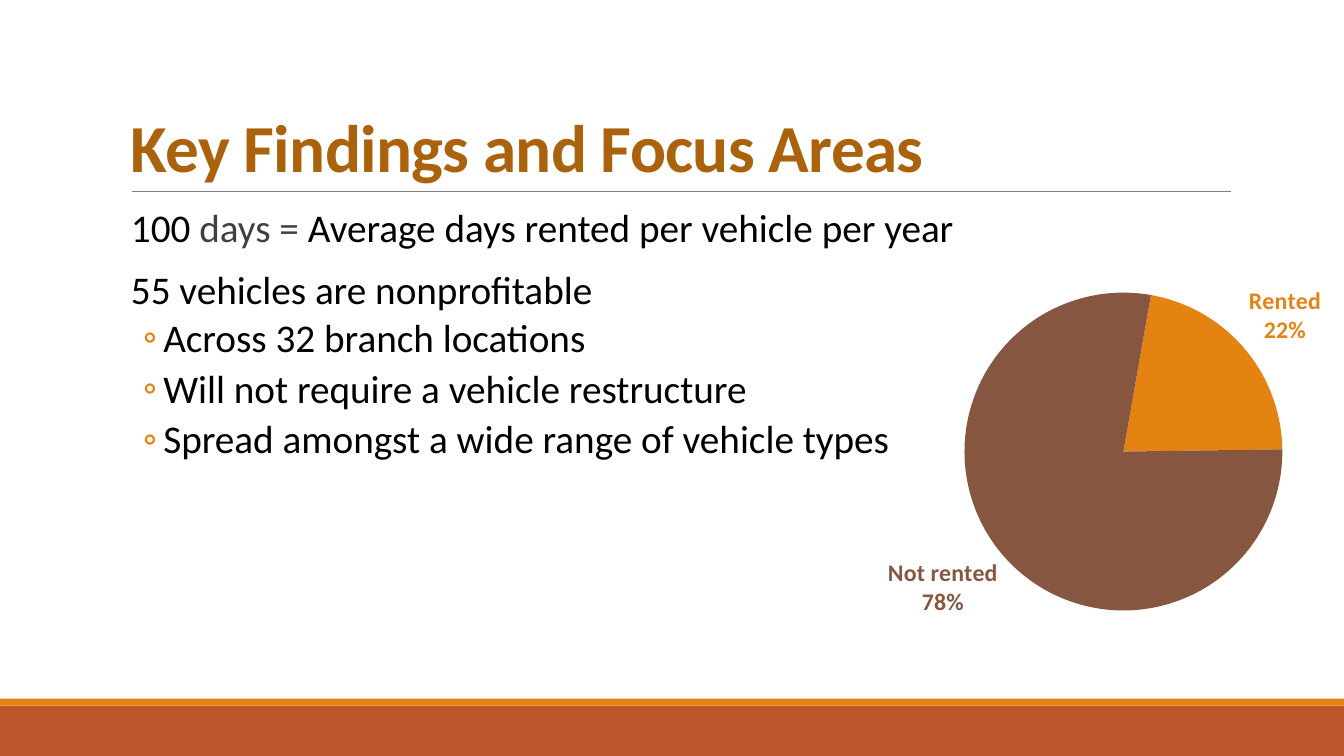
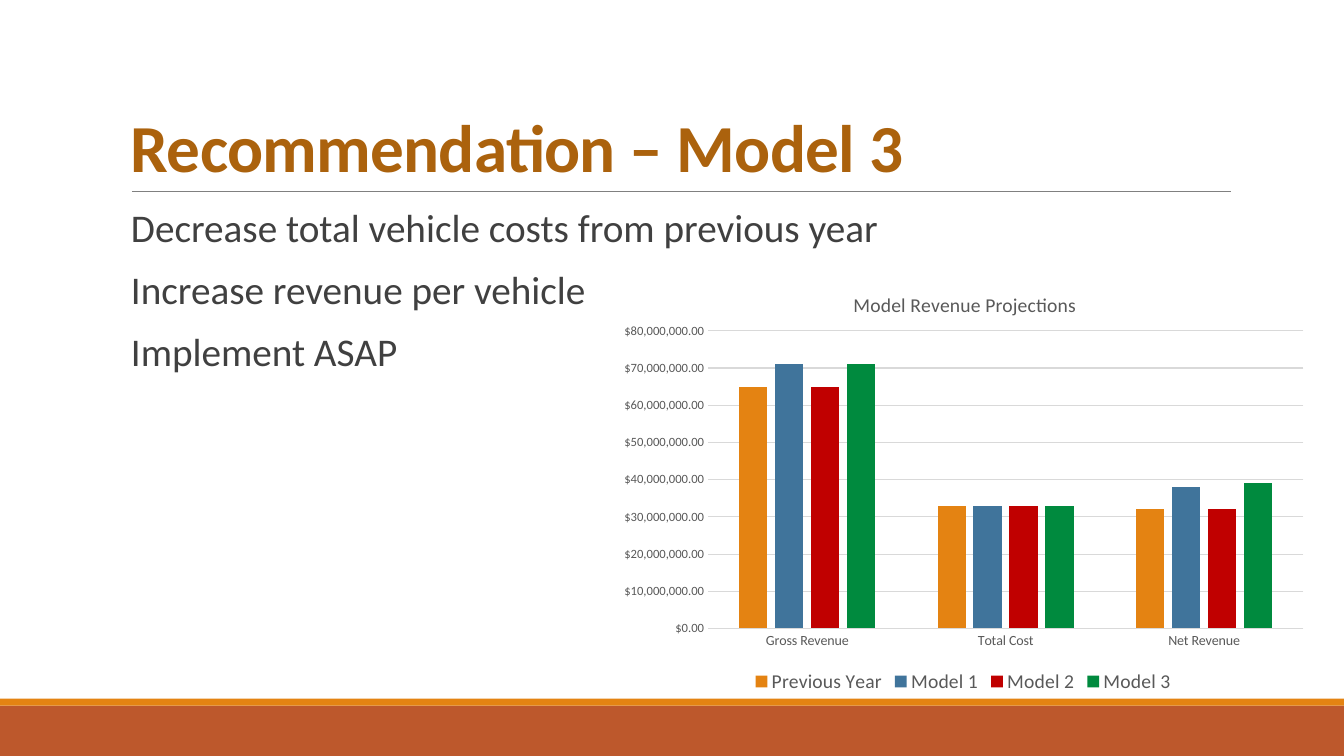
from dataclasses import dataclass

from lxml import etree
from pptx import Presentation
from pptx.chart.data import CategoryChartData
from pptx.dml.color import RGBColor
from pptx.enum.chart import (XL_CHART_TYPE, XL_LABEL_POSITION,
                             XL_LEGEND_POSITION, XL_TICK_MARK)
from pptx.enum.shapes import MSO_CONNECTOR, MSO_SHAPE
from pptx.enum.text import MSO_ANCHOR
from pptx.oxml.ns import qn
from pptx.util import Pt

PIE, COLUMNS = XL_CHART_TYPE.PIE, XL_CHART_TYPE.COLUMN_CLUSTERED
OUTSIDE_END = XL_LABEL_POSITION.OUTSIDE_END
LEGEND_BOTTOM = XL_LEGEND_POSITION.BOTTOM
NO_TICK = XL_TICK_MARK.NONE
RECTANGLE, STRAIGHT = MSO_SHAPE.RECTANGLE, MSO_CONNECTOR.STRAIGHT
TOP, BOTTOM = MSO_ANCHOR.TOP, MSO_ANCHOR.BOTTOM


@dataclass(frozen=True)
class Theme:
    """Colours, font and type sizes of the deck."""
    font: str = "Calibri"
    black: str = "000000"
    body: str = "404040"
    muted: str = "595959"
    heading: str = "AB620D"
    rule: str = "808080"
    grid: str = "D9D9D9"
    rust: str = "BD582C"
    orange: str = "E48312"
    brown: str = "865640"
    blue: str = "40749B"
    red: str = "C00000"
    green: str = "008A3E"
    title_size: float = 48
    body_size: float = 28
    share_size: float = 17
    legend_size: float = 14
    category_size: float = 10
    value_size: float = 9


THEME = Theme()


def rgb(code):
    """Turn a hex code into a colour."""
    return RGBColor.from_string(code)


def paint(fill, color):
    """Make a fill solid in one colour."""
    fill.solid()
    fill.fore_color.rgb = rgb(color)


def child(parent, tag, **attributes):
    """Append an XML element and return it."""
    return etree.SubElement(parent, qn(tag), attributes)


def set_layout(parent, index, **fractions):
    """Place a chart part by fractions (x, y, w, h) of the chart."""
    for old in parent.findall(qn("c:layout")):
        parent.remove(old)
    layout = etree.Element(qn("c:layout"))
    parent.insert(index, layout)
    manual = child(layout, "c:manualLayout")
    if "w" in fractions:
        child(manual, "c:layoutTarget", val="inner")
    for edge in "xy":
        child(manual, f"c:{edge}Mode", val="edge")
    for key, fraction in fractions.items():
        child(manual, f"c:{key}", val=str(fraction))


class Deck:
    """Holds the presentation, its theme and the current slide."""

    def __init__(self, theme):
        """Start an empty widescreen deck."""
        self.theme = theme
        self.prs = Presentation()
        self.prs.slide_width, self.prs.slide_height = Pt(960), Pt(540)
        self.slide = None

    def new_slide(self, heading):
        """Add a slide with footer bands, title and title rule."""
        theme = self.theme
        self.slide = self.prs.slides.add_slide(self.prs.slide_layouts[6])
        self.band(504, 36, theme.rust)
        self.band(499, 5, theme.orange)
        self.title_rule()
        frame = self.text_frame(22.3, 792, 114.5, BOTTOM, 7.2)
        title = frame.paragraphs[0]
        title.line_spacing = 0.85
        run = self.add_run(title, heading, theme.title_size, theme.heading, True)
        run.font._element.set("spc", "-50")

    def band(self, top, height, color):
        """Draw a band across the full slide width."""
        band = self.slide.shapes.add_shape(
            RECTANGLE, Pt(0), Pt(top), self.prs.slide_width, Pt(height))
        band.shadow.inherit = False
        paint(band.fill, color)
        band.line.fill.background()

    def title_rule(self):
        """Draw the thin line under the title."""
        rule = self.slide.shapes.add_connector(
            STRAIGHT, Pt(94.3), Pt(136.8), Pt(879), Pt(136.8))
        rule.line.color.rgb = rgb(self.theme.rule)
        rule.line.width = Pt(0.5)
        child(rule._element.spPr, "a:effectLst")

    def text_frame(self, top, width, height, anchor, inset):
        """Add a wrapped text box at the left margin."""
        frame = self.slide.shapes.add_textbox(
            Pt(86.4), Pt(top), Pt(width), Pt(height)).text_frame
        frame.word_wrap = True
        frame.vertical_anchor = anchor
        frame.margin_left = frame.margin_right = Pt(inset)
        return frame

    def style(self, font, size, color, bold=False):
        """Apply the theme font with size, colour and weight."""
        font.name, font.size, font.bold = self.theme.font, Pt(size), bold
        font.color.rgb = rgb(color)

    def add_run(self, paragraph, words, size, color, bold=False):
        """Add one styled run."""
        run = paragraph.add_run()
        run.text = words
        self.style(run.font, size, color, bold)
        return run

    def body(self, points, width=792):
        """Write points given as (level, [(words, colour), ...])."""
        frame = self.text_frame(145.4, width, 316.8, TOP, 0)
        for number, (level, parts) in enumerate(points):
            point = frame.add_paragraph() if number else frame.paragraphs[0]
            point.line_spacing = 0.9
            before, after = (2, 4) if level else (12, 2)
            point.space_before, point.space_after = Pt(before), Pt(after)
            self.indent(point, level)
            for words, color in parts:
                self.add_run(point, words, self.theme.body_size, color)

    def indent(self, point, level):
        """Indent a paragraph and give sub-points a ring bullet."""
        props = point._p.get_or_add_pPr()
        left, hanging = (30.24, -14.4) if level else (7.2, 0)
        props.set("marL", str(Pt(left)))
        props.set("indent", str(Pt(hanging)))
        if level:
            bullet_color = child(props, "a:buClr")
            child(bullet_color, "a:srgbClr", val=self.theme.orange)
            child(props, "a:buFont", typeface=self.theme.font)
            child(props, "a:buChar", char="◦")

    def chart(self, kind, box, categories, series):
        """Add a chart from a mapping of series names to values."""
        data = CategoryChartData()
        data.categories = categories
        for name, values in series.items():
            data.add_series(name, values)
        chart = self.slide.shapes.add_chart(kind, *map(Pt, box), data).chart
        self.style(chart.font, self.theme.category_size, self.theme.black)
        chart.has_title = chart.has_legend = False
        return chart

    def pie(self, box, shares, colors, start, area):
        """Add a pie labelled with category and percentage."""
        chart = self.chart(PIE, box, list(shares), {"Series 1": shares.values()})
        plot = chart.plots[0]
        for number, color in enumerate(colors):
            point = plot.series[0].points[number]
            paint(point.format.fill, color)
            label = point.data_label
            self.style(label.font, self.theme.share_size, color, True)
            label.position = OUTSIDE_END
        root = chart._chartSpace
        for tag, shown in (("showVal", "0"), ("showCatName", "1"),
                           ("showPercent", "1")):
            for flag in root.xpath(f".//c:dLbl/c:{tag}"):
                flag.set("val", shown)
        for label in root.xpath(".//c:dLbl"):
            child(label, "c:separator").text = "\n"
        pie = root.xpath(".//c:pieChart")[0]
        child(pie, "c:firstSliceAng", val=str(start))
        set_layout(root.xpath(".//c:plotArea")[0], 0, **area)

    def columns(self, box, title, categories, series, colors, area, title_at):
        """Add clustered columns with a title and a legend."""
        theme = self.theme
        chart = self.chart(COLUMNS, box, categories, series)
        plot = chart.plots[0]
        plot.vary_by_categories = False
        plot.gap_width, plot.overlap = 219, -27
        for columns, color in zip(plot.series, colors):
            paint(columns.format.fill, color)
            columns.invert_if_negative = False
        heading = chart.chart_title.text_frame.paragraphs[0]
        self.add_run(heading, title, theme.legend_size, theme.muted)
        chart.has_legend = True
        chart.legend.position = LEGEND_BOTTOM
        chart.legend.include_in_layout = False
        self.style(chart.legend.font, theme.legend_size, theme.muted)
        self.axes(chart)
        root = chart._chartSpace
        set_layout(root.xpath(".//c:plotArea")[0], 0, **area)
        set_layout(root.xpath("c:chart/c:title")[0], 1, **title_at)

    def axes(self, chart):
        """Style both axes, with dollars on the value axis."""
        theme = self.theme
        names, dollars = chart.category_axis, chart.value_axis
        for axis, size in ((names, theme.category_size),
                           (dollars, theme.value_size)):
            axis.major_tick_mark = axis.minor_tick_mark = NO_TICK
            self.style(axis.tick_labels.font, size, theme.muted)
        dollars.minimum_scale, dollars.maximum_scale = 0, 80_000_000
        dollars.major_unit = 10_000_000
        dollars.tick_labels.number_format = '"$"#,##0.00'
        dollars.tick_labels.number_format_is_linked = False
        dollars.format.line.fill.background()
        dollars.has_major_gridlines = True
        for line in (names.format.line, dollars.major_gridlines.format.line):
            line.color.rgb = rgb(theme.grid)
            line.width = Pt(0.75)


def findings(deck):
    """Build the slide of key findings."""
    black, grey = THEME.black, THEME.body
    deck.new_slide("Key Findings and Focus Areas")
    deck.body([
        (0, [("100", black), (" days = ", grey),
             ("Average days rented per vehicle per year", black)]),
        (0, [("55 vehicles are nonprofitable", black)]),
        (1, [("Across 32 branch locations", black)]),
        (1, [("Will not require a vehicle restructure", black)]),
        (1, [("Spread amongst a wide range of vehicle types", black)]),
    ], width=816.5)
    deck.pie((579.6, 175, 420.5, 295.2), {"Rented": 22, "Not rented": 78},
             (THEME.orange, THEME.brown), start=10,
             area={"x": 0.26, "y": 0.11, "w": 0.54, "h": 0.78})


def recommendation(deck):
    """Build the slide of the recommended model."""
    deck.new_slide("Recommendation – Model 3")
    deck.body([(0, [(words, THEME.body)]) for words in (
        "Decrease total vehicle costs from previous year",
        "Increase revenue per vehicle",
        "Implement ASAP")])
    millions = {
        "Previous Year": (65, 33, 32),
        "Model 1": (71, 33, 38),
        "Model 2": (65, 33, 32),
        "Model 3": (71, 33, 39),
    }
    deck.columns(
        (434.9, 190.1, 506.2, 308.2), "Model Revenue Projections",
        ("Gross Revenue", "Total Cost", "Net Revenue"),
        {name: [value * 1_000_000 for value in values]
         for name, values in millions.items()},
        (THEME.orange, THEME.blue, THEME.red, THEME.green),
        area={"x": 0.14, "y": 0.15, "w": 0.84, "h": 0.69},
        title_at={"x": 0.34, "y": 0.05})


def main():
    """Build both slides and save the deck."""
    deck = Deck(THEME)
    findings(deck)
    recommendation(deck)
    deck.prs.save("out.pptx")


main()
